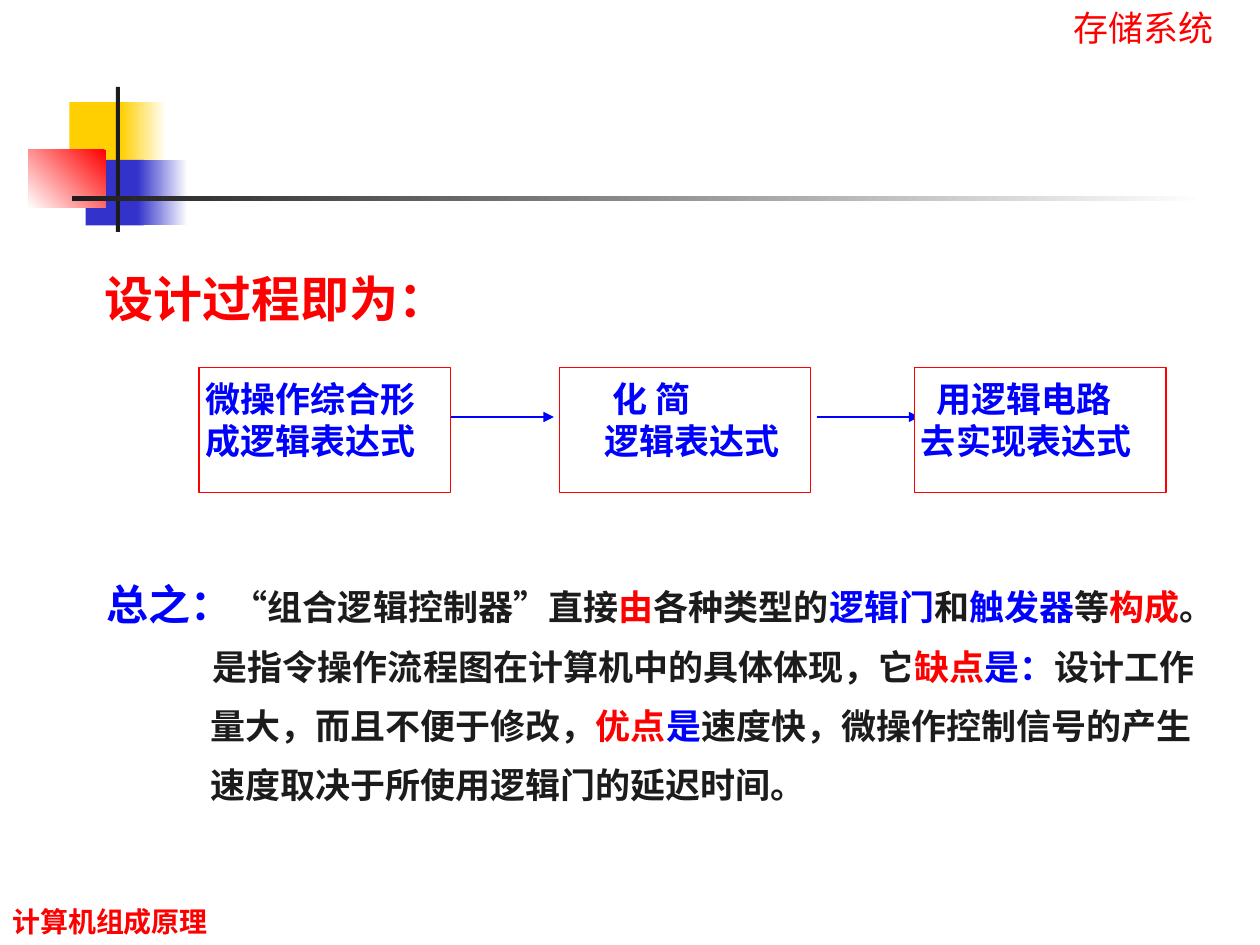
from pptx import Presentation
from pptx.dml.color import RGBColor
from pptx.enum.shapes import MSO_CONNECTOR as Connector, MSO_SHAPE as Shape
from pptx.enum.text import MSO_ANCHOR as Anchor, PP_ALIGN as Align
from pptx.oxml.ns import qn
from pptx.util import Pt
from lxml.etree import SubElement

THEME = {
    "red": "FF0000", "blue": "0000FF", "dark": "1C1C1C", "white": "FFFFFF",
    "gold": "FFCF01", "indigo": "3333CC",
    "title": 28, "lead": 24, "body": 20, "footer": 16,
    "label_font": "Karla", "text_font": "Times New Roman", "box_font": "Noto Sans CJK SC",
}

# left, top, width, height, gradient start, end, angle
ORNAMENTS = [
    (39.6, 58.3, 34.6, 37.4, "gold", "gold", 0),
    (69.1, 58.3, 25.9, 37.4, "white", "gold", 180),
    (49, 91.4, 33.1, 37.4, "indigo", "indigo", 0),
    (78.5, 91.4, 28.8, 37.4, "white", "indigo", 180),
    (16.3, 85.7, 44.2, 33.1, "red", "white", 225),
    (66.2, 49.7, 2.4, 82.8, "dark", "dark", 0),
    (41, 112.2, 648, 2.4, "white", "dark", 180),
]

# left, top, width, height, words, size, font, bold
LABELS = [
    (0, 513.4, 257.8, 26.6, "计算机组成原理", "footer", "label_font", True),
    (606.2, 0, 192.2, 31.7, "存储系统", "body", "label_font", False),
    (52.6, 149.8, 245.5, 41, "设计过程即为：", "title", "text_font", True),
]

# left, lines as (words, indent), start of the arrow drawn before the step
STEPS = [
    (113.8, [("微操作综合形", 0), ("成逻辑表达式", 0)], 257.8),
    (319.7, [("化 简", 27), ("逻辑表达式", 22)], None),
    (522.7, [("用逻辑电路", 9), ("去实现表达式", 0)], 466.6),
]
STEP_TOP, STEP_WIDTH, STEP_HEIGHT = 210.2, 143.6, 71.5
ARROW_Y, ARROW_LENGTH = 238.3, 58.7

# margin, first-line indent, spans as (words, colour)
SUMMARY = [
    (60, -60, [("总之：", "blue"), ("“组合逻辑控制器”直接", "dark"), ("由", "red"),
               ("各种类型的", "dark"), ("逻辑门", "blue"), ("和", "dark"), ("触发器", "blue"),
               ("等", "dark"), ("构成", "red"), ("。", "dark")]),
    (60.5, 0, [("是指令操作流程图在计算机中的具体体现，它", "dark"), ("缺点", "red"),
               ("是：", "blue"), ("设计工作", "dark")]),
    (59, 0, [("量大，而且不便于修改，", "dark"), ("优点", "red"), ("是", "blue"),
             ("速度快，微操作控制信号的产生", "dark")]),
    (59, 0, [("速度取决于所使用逻辑门的延迟时间。", "dark")]),
]


def rgb(name):
    return RGBColor.from_string(THEME[name])


def style(span, size, font, colour, bold=True):
    span.font.size = Pt(THEME[size])
    span.font.name = THEME[font]
    span.font.color.rgb = rgb(colour)
    span.font.bold = bold


def add_rectangle(page, *area):
    shape = page.shapes.add_shape(Shape.RECTANGLE, *map(Pt, area))
    shape.shadow.inherit = False
    return shape


def add_ornament(page, left, top, width, height, start, end, angle):
    shape = add_rectangle(page, left, top, width, height)
    shape.line.fill.background()
    if start == end:
        shape.fill.solid()
        shape.fill.fore_color.rgb = rgb(start)
        return
    shape.fill.gradient()
    shape.fill.gradient_angle = angle
    for stop, colour in zip(shape.fill.gradient_stops, (start, end)):
        stop.color.rgb = rgb(colour)


def add_label(page, left, top, width, height, words, size, font, bold):
    box = page.shapes.add_textbox(*map(Pt, (left, top, width, height)))
    box.text_frame.word_wrap = True
    box.text_frame.text = words
    style(box.text_frame.paragraphs[0].runs[0], size, font, "red", bold)


def add_arrow(page, start):
    arrow = page.shapes.add_connector(
        Connector.STRAIGHT, Pt(start), Pt(ARROW_Y), Pt(start + ARROW_LENGTH), Pt(ARROW_Y))
    arrow.line.color.rgb = rgb("blue")
    arrow.line.width = Pt(0.75)
    SubElement(arrow.line._get_or_add_ln(), qn("a:tailEnd"), type="triangle")
    SubElement(arrow._element.spPr, qn("a:effectLst"))


def indent(para, margin, first=0):
    properties = para._p.get_or_add_pPr()
    properties.set("marL", str(Pt(margin)))
    properties.set("indent", str(Pt(first)))


def add_step(page, left, lines):
    box = add_rectangle(page, left, STEP_TOP, STEP_WIDTH, STEP_HEIGHT)
    box.fill.solid()
    box.fill.fore_color.rgb = rgb("white")
    box.line.color.rgb = rgb("red")
    box.line.width = Pt(0.75)
    frame = box.text_frame
    frame.vertical_anchor = Anchor.TOP
    frame.margin_left, frame.margin_right, frame.margin_top = Pt(3.6), Pt(0), Pt(5.8)
    frame.text = "\n".join(words for words, _ in lines)
    for para, (_, margin) in zip(frame.paragraphs, lines):
        para.alignment = Align.LEFT
        indent(para, margin)
        style(para.runs[0], "body", "box_font", "blue")


def add_summary(page):
    frame = page.shapes.add_textbox(Pt(54), Pt(315.4), Pt(648), Pt(148.3)).text_frame
    frame.word_wrap = True
    for index, (margin, first, spans) in enumerate(SUMMARY):
        para = frame.add_paragraph() if index else frame.paragraphs[0]
        para.alignment = Align.JUSTIFY
        para.line_spacing = 1.4
        indent(para, margin, first)
        for position, (words, colour) in enumerate(spans):
            span = para.add_run()
            span.text = words
            size = "lead" if index == position == 0 else "body"
            style(span, size, "text_font", colour)


def main():
    """Build the slide on the controller design process and save it."""
    deck = Presentation()
    deck.slide_width, deck.slide_height = Pt(720), Pt(540)
    page = deck.slides.add_slide(deck.slide_layouts[6])
    for ornament in ORNAMENTS:
        add_ornament(page, *ornament)
    for label in LABELS:
        add_label(page, *label)
    add_summary(page)
    for left, lines, arrow_start in STEPS:
        if arrow_start is not None and left < arrow_start:
            add_arrow(page, arrow_start)
        elif arrow_start is not None:
            add_arrow(page, arrow_start)
        add_step(page, left, lines)
    deck.save("out.pptx")


if __name__ == "__main__":
    main()
